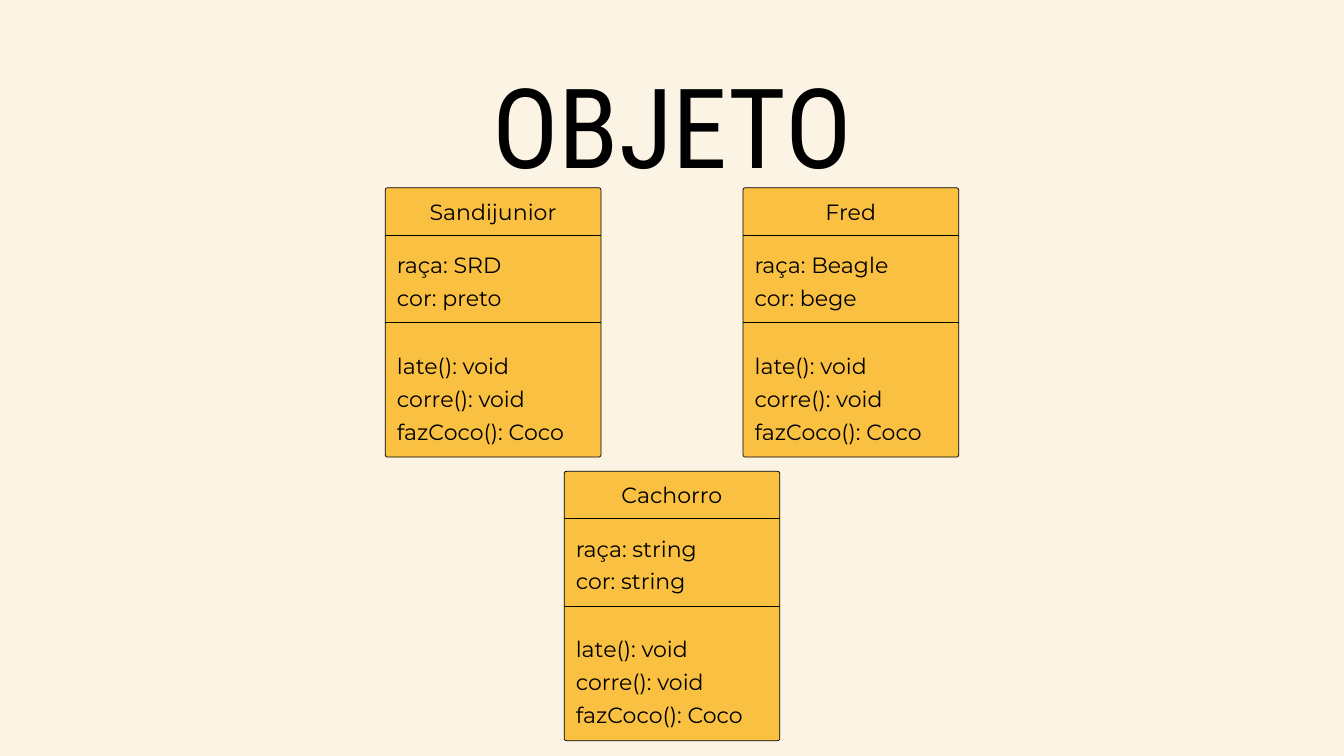
from lxml import etree
from pptx import Presentation
from pptx import util as u
from pptx.dml.color import RGBColor
from pptx.enum import shapes, text
from pptx.oxml.ns import qn

Cm, Pt = u.Cm, u.Pt

BLACK, CREAM, YELLOW = "000000", "FBF3E4", "F9C041"
PAGE_W, PAGE_H = 50.8, 28.58
CARD_W, CARD_H = 8.15, 10.18
CARD_SHIFT = 13.52  # from one object card to the other
TOP_ROW, BOTTOM_ROW = 7.1, 17.82
DIVIDERS = (1.79, 5.1)

TITLE = dict(name="Roboto Condensed", size=Pt(118.8))
BODY = dict(name="Montserrat", size=Pt(23.6))
CENTER, JUSTIFY = text.PP_ALIGN.CENTER, text.PP_ALIGN.JUSTIFY

METHODS = ["late(): void", "corre(): void", "fazCoco(): Coco"]


def color(value):
    return RGBColor.from_string(value)


def add_text(parent, left, top, width, height, lines, font, spacing, align):
    box = parent.add_textbox(Cm(left), Cm(top), Cm(width), Cm(height))
    frame = box.text_frame
    settings = dict(margin_left=0, margin_top=0, margin_right=0, margin_bottom=0,
                    word_wrap=True, auto_size=text.MSO_AUTO_SIZE.SHAPE_TO_FIT_TEXT)
    for key, value in settings.items():
        setattr(frame, key, value)
    for number, line in enumerate(lines):
        para = frame.paragraphs[0] if number == 0 else frame.add_paragraph()
        para.alignment = align
        para.line_spacing = Pt(spacing)
        span = para.add_run()
        span.text = line
        for key, value in font.items():
            setattr(span.font, key, value)
        span.font.color.rgb = color(BLACK)


def add_frame(parent, left, top):
    frame = parent.add_shape(shapes.MSO_SHAPE.ROUNDED_RECTANGLE,
                             Cm(left), Cm(top), Cm(CARD_W), Cm(CARD_H))
    frame.adjustments[0] = 0.01
    frame.shadow.inherit = False
    frame.fill.solid()
    frame.fill.fore_color.rgb = color(YELLOW)
    frame.line.color.rgb = color(BLACK)
    frame.line.width = Pt(0.8)


def add_divider(parent, left, top):
    line = parent.add_connector(shapes.MSO_CONNECTOR.STRAIGHT,
                                Cm(left), Cm(top), Cm(left + CARD_W), Cm(top))
    line.line.color.rgb = color(BLACK)
    line.line.width = Pt(1)
    etree.SubElement(line._element.spPr, qn("a:effectLst"))


def add_card(page, left, top, name, attributes):
    card = page.shapes.add_group_shape().shapes
    add_frame(card, left, top)
    for offset in DIVIDERS:
        add_divider(card, left, top + offset)
    # Name, attributes and methods: left, top, width, height, lines, alignment
    sections = [
        (0.3, 0.15, 7.54, 1.14, [name], CENTER),
        (0.44, 2.16, 7.72, 2.39, attributes, JUSTIFY),
        (0.44, 5.97, 7.39, 3.61, METHODS, JUSTIFY),
    ]
    for dx, dy, width, height, lines, align in sections:
        add_text(card, left + dx, top + dy, width, height, lines, BODY, 35.3, align)


def main():
    deck = Presentation()
    deck.slide_width, deck.slide_height = Cm(PAGE_W), Cm(PAGE_H)
    page = deck.slides.add_slide(deck.slide_layouts[6])
    page.background.fill.solid()
    page.background.fill.fore_color.rgb = color(CREAM)

    # Title
    add_text(page.shapes, 13.55, 3, 23.7, 4.45, ["OBJETO"], TITLE, 118.8, CENTER)

    # Two objects above their class
    middle = (PAGE_W - CARD_W) / 2
    half = CARD_SHIFT / 2
    add_card(page, middle - half, TOP_ROW, "Sandijunior", ["raça: SRD", "cor: preto"])
    add_card(page, middle + half, TOP_ROW, "Fred", ["raça: Beagle", "cor: bege"])
    add_card(page, middle, BOTTOM_ROW, "Cachorro", ["raça: string", "cor: string"])

    deck.save("out.pptx")


if __name__ == "__main__":
    main()
